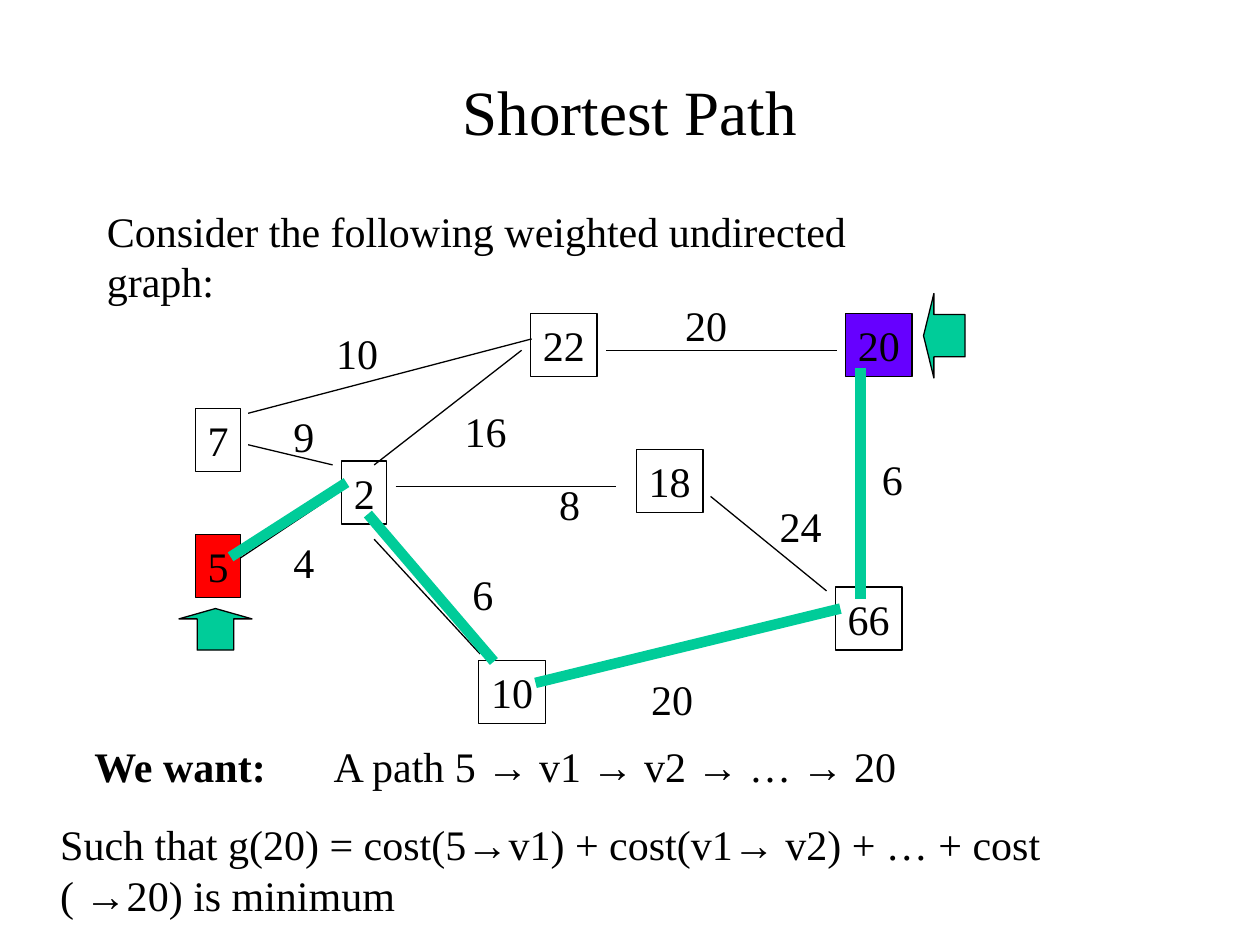
from itertools import groupby

from pptx import Presentation
from pptx.dml.color import RGBColor
from pptx.enum.shapes import MSO_CONNECTOR, MSO_SHAPE
from pptx.enum.text import MSO_ANCHOR, MSO_AUTO_SIZE, PP_ALIGN
from pptx.oxml.ns import qn
from pptx.util import Inches, Pt

COLORS = {"ink": "000000", "path": "00CC99", "start": "FF0000",
          "goal": "6600FF", "paper": "FFFFFF"}
ARROW = "→"
ONE_DIGIT, TWO_DIGITS, LINE_HEIGHT = 0.36, 0.53, 0.5

# value, left, top, fill
NODES = [
    ("5", 1.55, 4.24, "start"), ("2", 2.71, 3.66, None),
    ("7", 1.55, 3.24, None), ("10", 3.8, 5.24, None),
    ("18", 5.05, 3.57, None), ("22", 4.21, 2.49, None),
    ("66", 6.63, 4.66, None), ("20", 6.71, 2.49, "goal"),
]
EDGES = [
    (1.89, 4.44, 2.64, 3.94), (1.97, 3.53, 2.64, 3.69),
    (2.97, 4.28, 3.81, 5.19), (3.14, 3.86, 4.89, 3.86),
    (2.97, 3.69, 4.14, 2.78), (1.97, 3.28, 4.22, 2.69),
    (4.31, 5.44, 6.47, 4.86), (5.64, 3.94, 6.56, 4.69),
    (4.81, 2.78, 6.64, 2.78), (6.83, 4.58, 6.83, 3),
]
WEIGHTS = [
    ("10", 2.57, 2.55), ("20", 5.34, 2.33), ("16", 3.59, 3.17),
    ("4", 2.23, 4.21), ("6", 3.65, 4.46), ("8", 4.34, 3.75),
    ("24", 6.09, 3.92), ("20", 5.07, 5.3), ("6", 6.9, 3.55),
    ("9", 2.23, 3.21),
]
SHORTEST_PATH = [
    (1.83, 4.42, 2.75, 3.83), (2.92, 4.08, 3.92, 5.25),
    (4.25, 5.42, 6.67, 4.83), (6.83, 4.75, 6.83, 2.92),
]


def rgb(name):
    return RGBColor.from_string(COLORS[name])


def label_width(text):
    return ONE_DIGIT if len(text) == 1 else TWO_DIGITS


class GraphSlide:
    font, symbol_font = "Times New Roman", "Arial"
    size, thin, thick = 24, 0.75, 6

    def __init__(self, prs):
        self.slide = prs.slides.add_slide(prs.slide_layouts[6])
        fill = self.slide.background.fill
        fill.solid()
        fill.fore_color.rgb = rgb("paper")

    def set_text(self, tf, text, size=None, bold=False, wrap=False):
        """Fill a text frame, setting arrow symbols in their own font."""
        tf.word_wrap = wrap
        tf.auto_size = MSO_AUTO_SIZE.SHAPE_TO_FIT_TEXT
        p = tf.paragraphs[0]
        p.alignment = PP_ALIGN.LEFT
        p.font.size = Pt(size or self.size)
        p.font.bold = bold
        p.font.color.rgb = rgb("ink")
        p.font.name = self.font
        for is_arrow, chars in groupby(text, lambda c: c == ARROW):
            r = p.add_run()
            r.text = "".join(chars)
            if is_arrow:
                r.font.name = self.symbol_font

    def text(self, text, x, y, w, h=LINE_HEIGHT, **style):
        box = self.slide.shapes.add_textbox(*map(Inches, (x, y, w, h)))
        self.set_text(box.text_frame, text, **style)
        return box.text_frame

    def title(self, text, x, y, w, h):
        tf = self.text(text, x, y, w, h, size=36, wrap=True)
        tf.auto_size = MSO_AUTO_SIZE.NONE
        tf.vertical_anchor = MSO_ANCHOR.MIDDLE
        tf.paragraphs[0].alignment = PP_ALIGN.CENTER

    def shape(self, kind, x, y, w, h, fill=None):
        sp = self.slide.shapes.add_shape(kind, *map(Inches, (x, y, w, h)))
        sp.shadow.inherit = False
        if fill:
            sp.fill.solid()
            sp.fill.fore_color.rgb = rgb(fill)
        else:
            sp.fill.background()
        sp.line.color.rgb = rgb("ink")
        sp.line.width = Pt(self.thin)
        return sp

    def node(self, text, x, y, fill):
        sp = self.shape(MSO_SHAPE.RECTANGLE, x, y, label_width(text), LINE_HEIGHT, fill)
        sp.text_frame.vertical_anchor = MSO_ANCHOR.TOP
        self.set_text(sp.text_frame, text)

    def pointer(self, kind, x, y, w, h):
        sp = self.shape(kind, x, y, w, h, "path")
        sp.adjustments[0], sp.adjustments[1] = 0.5, 0.25

    def line(self, ends, color="ink", width=thin):
        cxn = self.slide.shapes.add_connector(MSO_CONNECTOR.STRAIGHT, *map(Inches, ends))
        cxn.line.color.rgb = rgb(color)
        cxn.line.width = Pt(width)
        sp_pr = cxn._element.spPr
        sp_pr.append(sp_pr.makeelement(qn("a:effectLst"), {}))


def main():
    prs = Presentation()
    prs.slide_width, prs.slide_height = Inches(10), Inches(7.5)
    s = GraphSlide(prs)

    s.title("Shortest Path", 0.75, 0.25, 8.5, 1.25)
    s.text("Consider the following weighted undirected graph:", 0.75, 1.58, 7)

    for edge in EDGES:
        s.line(edge)
    for node in NODES:
        s.node(*node)
    for weight, x, y in WEIGHTS:
        s.text(weight, x, y, label_width(weight))
    s.pointer(MSO_SHAPE.UP_ARROW, 1.42, 4.83, 0.58, 0.33)
    s.pointer(MSO_SHAPE.LEFT_ARROW, 7.33, 2.33, 0.33, 0.67)

    s.text("We want:", 0.65, 5.83, 1.58, bold=True)
    s.text("A path 5 → v1 → v2 → … → 20", 2.55, 5.83, 4.68)
    s.text("Such that g(20) = cost(5→v1) + cost(v1→ v2) + … + cost ( →20) is minimum",
           0.38, 6.45, 9.03, 0.9, wrap=True)

    for step in SHORTEST_PATH:
        s.line(step, "path", s.thick)
    prs.save("out.pptx")


if __name__ == "__main__":
    main()
